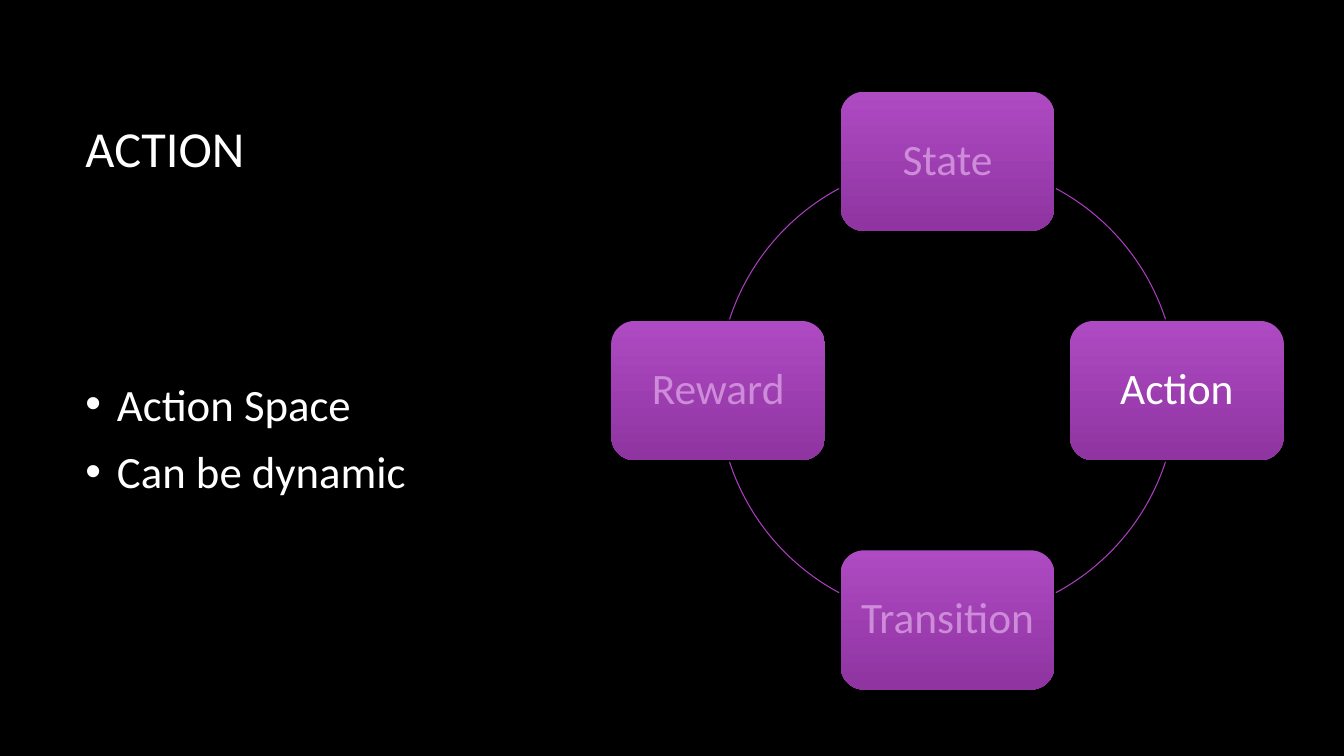
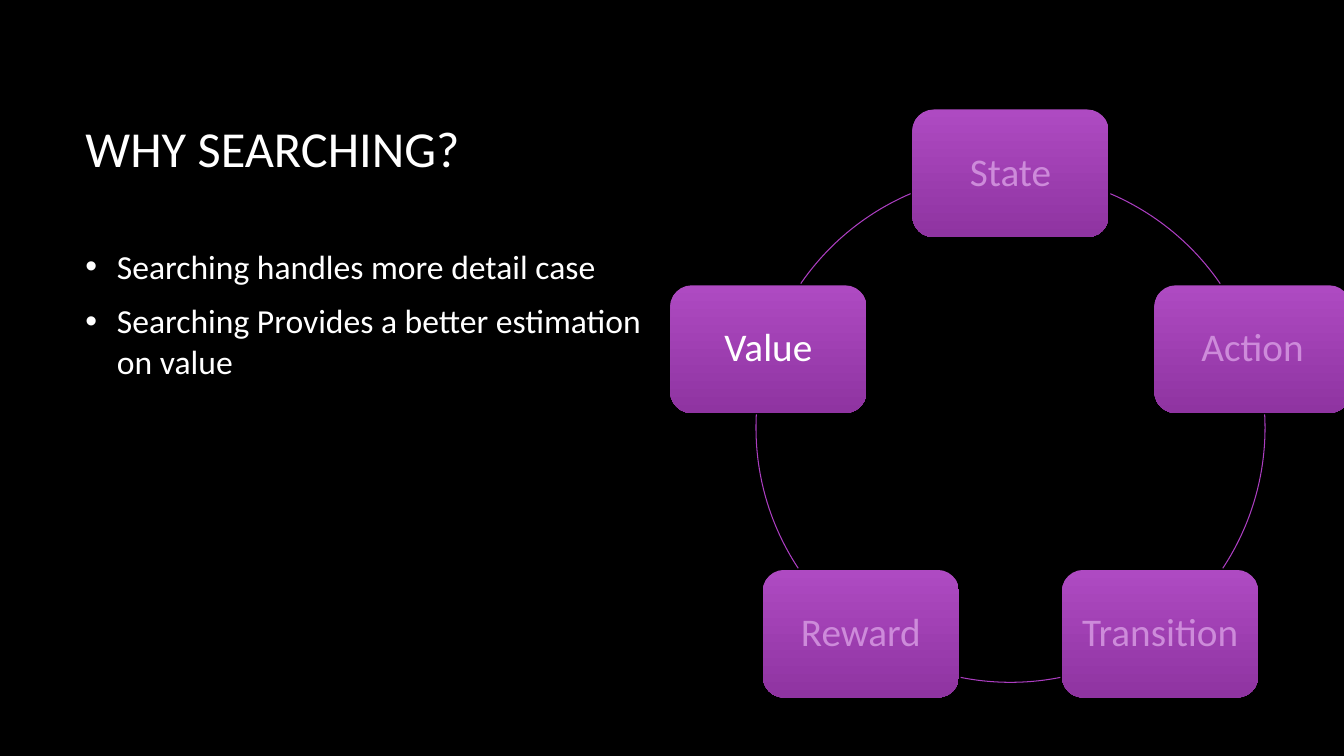
import math
from dataclasses import dataclass

import pptx
import pptx.dml.color
import pptx.enum.shapes
import pptx.enum.text
import pptx.util
from lxml import etree
from pptx.oxml.ns import qn

Pt = pptx.util.Pt
SHAPE = pptx.enum.shapes.MSO_SHAPE
ALIGN = pptx.enum.text.PP_ALIGN
ANCHOR = pptx.enum.text.MSO_ANCHOR

# Boxes are left, top, width, height; a ring holds centre, radius and card size.
SLIDES = [
    dict(
        title="ACTION",
        points=["Action Space", "Can be dynamic"],
        body=(54, 168.5, 798, 287.3), size=32,
        ring=dict(
            names=["State", "Action", "Transition", "Reward"], active="Action",
            mid=(676.8, 279), radius=163.8, card=(152.6, 99.4), size=31),
    ),
    dict(
        title="WHY SEARCHING?",
        points=["Searching handles more detail case",
                "Searching Provides a better estimation on value"],
        body=(54, 167, 417.6, 113.8), size=24,
        ring=dict(
            names=["State", "Action", "Transition", "Reward", "Value"],
            active="Value",
            mid=(721.8, 305.6), radius=181.8, card=(140.2, 91.2), size=28),
    ),
]


@dataclass(frozen=True)
class Theme:
    font: str = "Calibri"
    back: str = "000000"
    text: str = "FFFFFF"
    dim: str = "CD8BDA"
    top: str = "AE4AC2"
    base: str = "8F34A1"
    line: str = "AC3EC1"
    head: float = 36
    thin: float = 0.75
    gap: float = 1
    indent: float = 22.5


THEME = Theme()
TITLE_BOX = (54, 48.2, 798, 114.5)


def rgb(code):
    return pptx.dml.color.RGBColor.from_string(code)


def add_bullet(para):
    props = para._p.get_or_add_pPr()
    props.set("marL", str(Pt(THEME.indent)))
    props.set("indent", str(-Pt(THEME.indent)))
    color = etree.SubElement(props, qn("a:buClr"))
    etree.SubElement(color, qn("a:srgbClr"), val=THEME.text)
    etree.SubElement(props, qn("a:buFont"), typeface="Arial")
    etree.SubElement(props, qn("a:buChar"), char="•")


def put_text(shape, lines, size, color=THEME.text, align=ALIGN.LEFT,
             wrap=True, bullet=False, after=0, space=1.0):
    frame = shape.text_frame
    frame.word_wrap = wrap
    frame.vertical_anchor = ANCHOR.MIDDLE
    for num, line in enumerate(lines):
        para = frame.add_paragraph() if num else frame.paragraphs[0]
        para.text = line
        if bullet:
            add_bullet(para)
        para.alignment = align
        para.space_after = Pt(after)
        para.line_spacing = space
        font = para.font
        font.name, font.size = THEME.font, Pt(size)
        font.color.rgb = rgb(color)


def add_text(slide, box, lines, size, **style):
    put_text(slide.shapes.add_textbox(*map(Pt, box)), lines, size, **style)


def add_card(slide, name, mid, card, size, color):
    left, top = (m - c / 2 for m, c in zip(mid, card))
    shape = slide.shapes.add_shape(
        SHAPE.ROUNDED_RECTANGLE, *map(Pt, (left, top, *card)))
    shape.shadow.inherit = False
    shape.line.fill.background()
    shape.fill.gradient()
    shape.fill.gradient_angle = 270
    for stop, code in zip(shape.fill.gradient_stops, (THEME.top, THEME.base)):
        stop.color.rgb = rgb(code)
    put_text(shape, [name], size, color=color, align=ALIGN.CENTER,
             wrap=False, space=0.9)


def leave(angle, step, radius, card):
    """Return the first angle along the ring that clears the card at angle."""
    turn = math.radians(angle)
    half = [c / 2 + THEME.gap for c in card]
    free = angle
    while True:
        now = math.radians(free)
        across = radius * abs(math.cos(now) - math.cos(turn))
        down = radius * abs(math.sin(now) - math.sin(turn))
        if across > half[0] or down > half[1]:
            return free
        free += step


def add_arc(slide, mid, radius, start, end):
    box = (mid[0] - radius, mid[1] - radius, 2 * radius, 2 * radius)
    arc = slide.shapes.add_shape(SHAPE.ARC, *map(Pt, box))
    # Arc angles are stored in 60000ths of a degree, adjustments in 100000ths.
    for num, angle in enumerate((start, end)):
        arc.adjustments[num] = angle % 360 * 0.6
    arc.shadow.inherit = False
    arc.fill.background()
    arc.line.color.rgb = rgb(THEME.line)
    arc.line.width = Pt(THEME.thin)


def add_ring(slide, names, active, mid, radius, card, size):
    step = 360 / len(names)
    for num, name in enumerate(names):
        angle = num * step - 90
        turn = math.radians(angle)
        spot = (mid[0] + radius * math.cos(turn),
                mid[1] + radius * math.sin(turn))
        color = THEME.text if name == active else THEME.dim
        add_card(slide, name, spot, card, size, color)
        add_arc(slide, mid, radius, leave(angle, 0.1, radius, card),
                leave(angle + step, -0.1, radius, card))


def main():
    deck = pptx.Presentation()
    deck.slide_width, deck.slide_height = Pt(960), Pt(540)
    for data in SLIDES:
        slide = deck.slides.add_slide(deck.slide_layouts[6])
        slide.background.fill.solid()
        slide.background.fill.fore_color.rgb = rgb(THEME.back)
        add_text(slide, TITLE_BOX, [data["title"]], THEME.head)
        add_text(slide, data["body"], data["points"], data["size"],
                 bullet=True, after=10)
        add_ring(slide, **data["ring"])
    deck.save("out.pptx")


if __name__ == "__main__":
    main()
